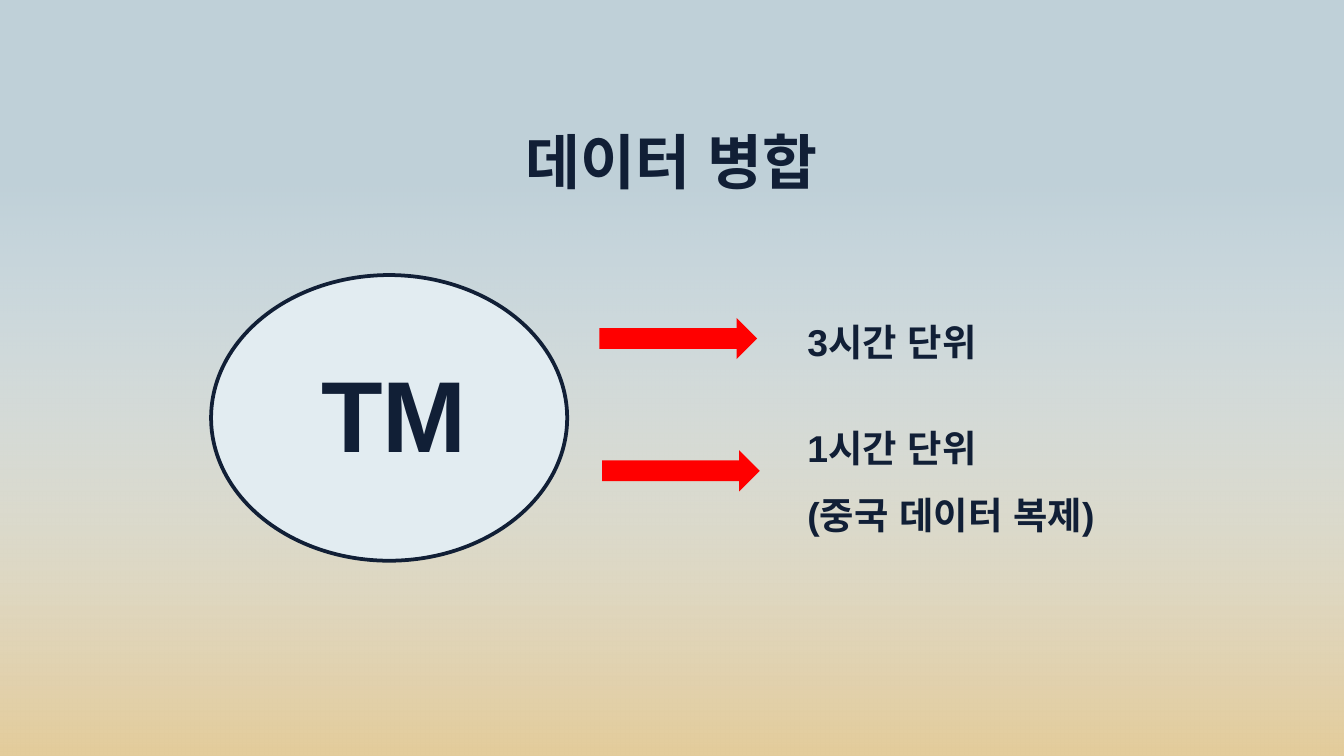
import pptx
import pptx.util
import pptx.dml.color
import pptx.enum.shapes
import pptx.enum.text
import pptx.oxml
import pptx.oxml.ns
from pptx.util import Cm

NAVY = "111F36"
FONT = "Arial"
SHAPES = pptx.enum.shapes.MSO_SHAPE
ALIGN = pptx.enum.text.PP_ALIGN


def color(hex_value):
    return pptx.dml.color.RGBColor.from_string(hex_value)


def add_child(parent, tag, **attributes):
    child = pptx.oxml.ns.qn(tag)
    element = parent.makeelement(child, attributes)
    parent.append(element)


def write_text(shape, text, size, align=ALIGN.LEFT, line_spacing=1.0):
    frame = shape.text_frame
    frame.word_wrap = True
    frame.auto_size = pptx.enum.text.MSO_AUTO_SIZE.NONE
    frame.vertical_anchor = pptx.enum.text.MSO_ANCHOR.TOP
    frame.margin_left = frame.margin_right = Cm(0.25)
    frame.margin_top = frame.margin_bottom = Cm(0.25)
    frame.text = text
    for paragraph in frame.paragraphs:
        paragraph.alignment = align
        paragraph.line_spacing = line_spacing
        paragraph.space_before = paragraph.space_after = pptx.util.Pt(0)
        for run in paragraph.runs:
            run.font.name = FONT
            run.font.size = pptx.util.Pt(size)
            run.font.bold = True
            run.font.color.rgb = color(NAVY)
            # Korean letters use the East Asian font
            add_child(run.font._element, "a:ea", typeface=FONT)


def add_text(slide, left, top, width, height, text, **text_format):
    box = slide.shapes.add_textbox(left, top, width, height)
    write_text(box, text, **text_format)


def add_shape(slide, kind, left, top, width, height, fill=None, line=None):
    shape = slide.shapes.add_shape(kind, left, top, width, height)
    shape.shadow.inherit = False
    if fill:
        shape.fill.solid()
        shape.fill.fore_color.rgb = color(fill)
    if line:
        shape.line.color.rgb = color(line)
        shape.line.width = pptx.util.Pt(2)
    else:
        shape.line.fill.background()
    return shape


def add_background(slide):
    slide.background.fill.solid()
    slide.background.fill.fore_color.rgb = color("BFD0D8")
    glow = add_shape(slide, SHAPES.RECTANGLE, Cm(0), Cm(3.38), Cm(25.45), Cm(10.9))
    glow.fill.gradient()
    glow.fill.gradient_angle = 270
    stops = glow.fill.gradient_stops
    for stop, position, hex_value in zip(stops, (0, 1), ("FFFFFF", "E4CC9B")):
        stop.position = position
        stop.color.rgb = color(hex_value)
    # The upper end of the gradient is fully transparent
    first_color = glow._element.spPr.find(".//" + pptx.oxml.ns.qn("a:srgbClr"))
    add_child(first_color, "a:alpha", val="0")
    # Send the gradient behind the title
    slide.shapes._spTree.insert(2, glow._element)


def main():
    presentation = pptx.Presentation()
    presentation.slide_width = Cm(25.4)
    presentation.slide_height = Cm(14.29)
    slide = presentation.slides.add_slide(presentation.slide_layouts[5])
    add_background(slide)

    # Title
    title = slide.shapes.title
    title.left, title.top, title.width, title.height = Cm(2), Cm(1.9), Cm(21.4), Cm(1.6)
    write_text(title, "데이터 병합", size=32, align=ALIGN.CENTER, line_spacing=1.15)

    # Data source
    add_shape(slide, SHAPES.OVAL, Cm(3.99), Cm(5.2), Cm(6.73), Cm(5.4),
              fill="E2ECF1", line=NAVY)
    add_text(slide, Cm(2), Cm(6.4), Cm(10.9), Cm(1.6), "TM", size=54, align=ALIGN.CENTER)

    # Arrows to the time units
    branches = [
        (Cm(11.33), Cm(6.01), Cm(5.36), "3시간 단위"),
        (Cm(11.38), Cm(8.51), Cm(7.37), "1시간 단위\n(중국 데이터 복제)"),
    ]
    for arrow_left, arrow_top, label_top, label in branches:
        add_shape(slide, SHAPES.RIGHT_ARROW, arrow_left, arrow_top, Cm(2.98), Cm(0.78),
                  fill="FF0000")
        add_text(slide, Cm(15.01), label_top, Cm(7), Cm(1.6), label,
                 size=20, line_spacing=1.5)

    presentation.save("out.pptx")


if __name__ == "__main__":
    main()
